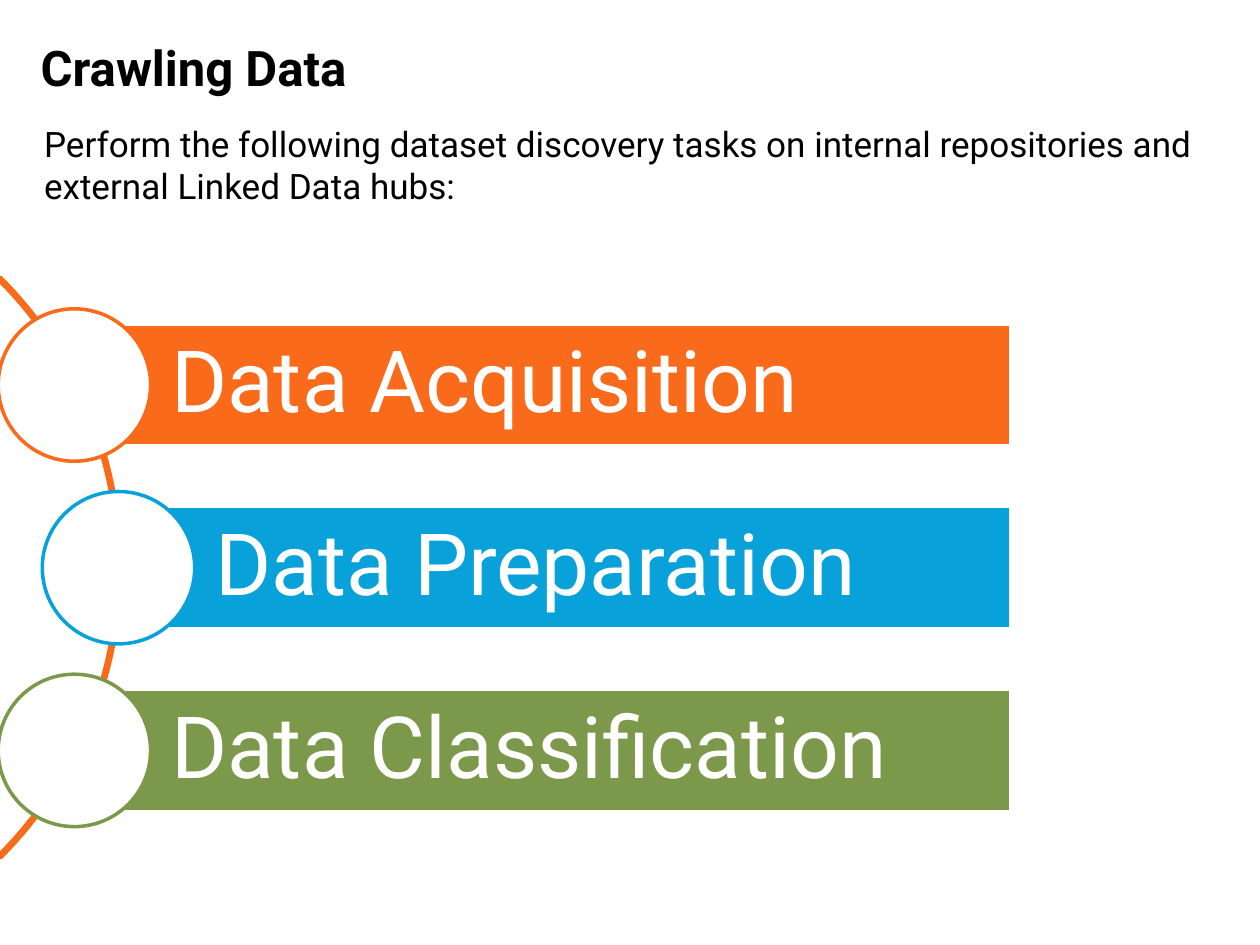
from pptx import Presentation
from pptx import util as u
from pptx.dml.color import RGBColor
from pptx.enum import shapes, text
from pptx.oxml.ns import qn

FONT = "Roboto"
WHITE, BLACK, ORANGE, BLUE, GREEN = "FFFFFF", "000000", "F96A1B", "08A1D9", "7C984A"
TASKS = [
    ("Data Acquisition", ORANGE, 42.5),
    ("Data Preparation", BLUE, 67.7),
    ("Data Classification", GREEN, 42.5),
]
FIRST_MIDDLE, PITCH = 220, 104.4
BAR_RIGHT, BAR_HEIGHT, CIRCLE = 577.5, 69.8, 87.1


def color(value):
    """Turn a hex string into a colour."""
    return RGBColor.from_string(value)


def write(box, words, size, fill=BLACK, bold=False, anchor=text.MSO_ANCHOR.TOP,
          margins=(7.2, 3.6, 7.2, 3.6), line_spacing=1.0, fit=text.MSO_AUTO_SIZE.NONE):
    """Put one left-aligned, formatted paragraph into a shape."""
    frame = box.text_frame
    frame.word_wrap = True
    frame.auto_size = fit
    frame.vertical_anchor = anchor
    (frame.margin_left, frame.margin_top,
     frame.margin_right, frame.margin_bottom) = map(u.Pt, margins)
    para = frame.paragraphs[0]
    para.alignment = text.PP_ALIGN.LEFT
    para.line_spacing = line_spacing
    para.space_before = u.Pt(0)
    span = para.add_run()
    span.text = words
    span.font.name = FONT
    span.font.size = u.Pt(size)
    span.font.bold = bold
    span.font.color.rgb = color(fill)
    return para


def place(box, left, top, width, height):
    """Move and size a placeholder."""
    box.left, box.top, box.width, box.height = map(u.Pt, (left, top, width, height))


def remove_bullet(para):
    """Drop the inherited bullet and its hanging indent."""
    properties = para._p.get_or_add_pPr()
    properties.set("marL", "0")
    properties.set("indent", "0")
    properties.append(properties.makeelement(qn("a:buNone"), {}))


def add_shape(page, kind, left, top, width, height, line, fill=None):
    """Add a preset shape with a 2 pt outline and an optional fill."""
    box = page.shapes.add_shape(kind, *map(u.Pt, (left, top, width, height)))
    box.shadow.inherit = False
    if fill:
        box.fill.solid()
        box.fill.fore_color.rgb = color(fill)
    else:
        box.fill.background()
    box.line.color.rgb = color(line)
    box.line.width = u.Pt(2)
    return box


def add_arc(page):
    """Add the thin arc that links the circles."""
    arc = add_shape(page, shapes.MSO_SHAPE.BLOCK_ARC, -399.6, 90, 468.7, 468.7, ORANGE)
    for index, value in enumerate((189, 27, 0.004)):
        arc.adjustments[index] = value


def add_task(page, words, fill, left, middle):
    """Add a task bar with a circle centred on its left end."""
    bar = add_shape(page, shapes.MSO_SHAPE.RECTANGLE, left, middle - BAR_HEIGHT / 2,
                    BAR_RIGHT - left, BAR_HEIGHT, WHITE, fill)
    write(bar, words, 49, fill=WHITE, anchor=text.MSO_ANCHOR.MIDDLE,
          margins=(55.4, 10, 10, 10), line_spacing=0.9)
    add_shape(page, shapes.MSO_SHAPE.OVAL, left - CIRCLE / 2, middle - CIRCLE / 2,
              CIRCLE, CIRCLE, fill, WHITE)


def main():
    """Build the slide and save it."""
    deck = Presentation()
    deck.slide_width, deck.slide_height = u.Pt(720), u.Pt(540)
    page = deck.slides.add_slide(deck.slide_layouts[1])
    title, body = page.placeholders
    grow = text.MSO_AUTO_SIZE.SHAPE_TO_FIT_TEXT
    place(title, 16, 18, 702, 41)
    write(title, "Crawling Data", 28, bold=True, fit=grow)
    place(body, 18, 66.2, 702, 55.4)
    remove_bullet(write(body, "Perform the following dataset discovery tasks on internal "
                        "repositories and external Linked Data hubs:", 20, fit=grow))
    add_arc(page)
    for row, (words, fill, left) in enumerate(TASKS):
        add_task(page, words, fill, left, FIRST_MIDDLE + row * PITCH)
    deck.save("out.pptx")


if __name__ == "__main__":
    main()
